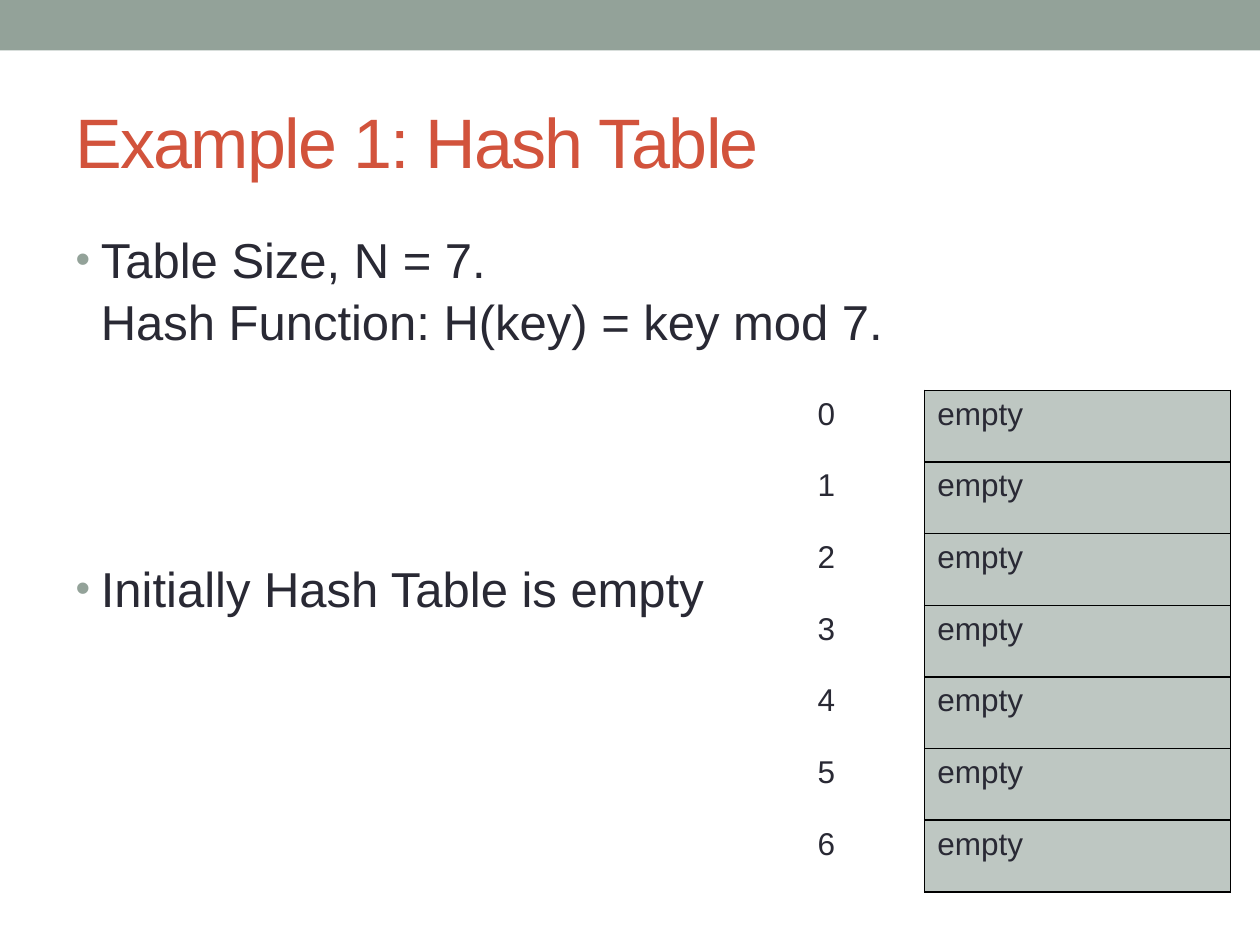
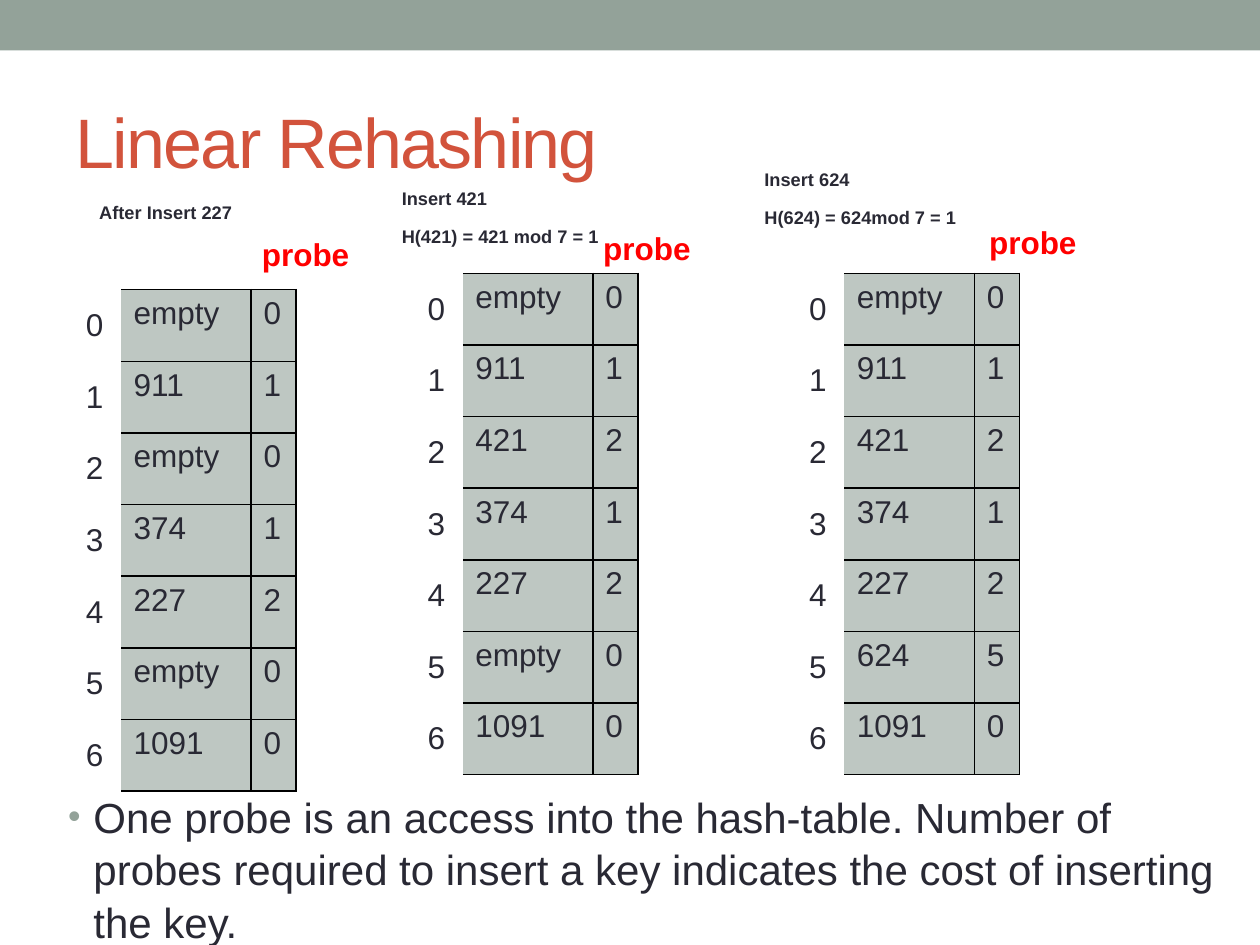
from collections import namedtuple

from lxml.etree import SubElement
from pptx import Presentation
from pptx.dml.color import RGBColor as RGB
from pptx.enum.shapes import MSO_SHAPE as Preset
from pptx.enum.text import MSO_ANCHOR as Anchor, MSO_AUTO_SIZE as AutoSize, PP_ALIGN as Align
from pptx.oxml import parse_xml
from pptx.oxml.ns import nsdecls, qn
from pptx.util import Cm, Pt

COLORS = {
    "band": "93A299",
    "title": "D2533C",
    "ink": "292934",
    "slot": "BEC7C2",
    "border": "000000",
    "probe": "FF0000",
}
FONT = "Arial"
NO_STYLE = "{2D5ABB26-0587-4C30-8999-92F81FD0307C}"
ALL_SIDES = "LRTB"
Box = namedtuple("Box", "left top width height")
TITLE_BOX = Box(1.27, 1.47, 22.86, 2.74)


def rgb(name):
    """Return the palette colour of that name."""
    return RGB.from_string(COLORS[name])


def lengths(box):
    """Convert a box in centimetres to slide lengths."""
    return [Cm(side) for side in box]


def format_runs(frame, size, color, bold=False):
    """Give every run of a text frame the same font."""
    for paragraph in frame.paragraphs:
        for run in paragraph.runs:
            run.font.name = FONT
            run.font.size = Pt(size)
            run.font.bold = bold
            run.font.color.rgb = rgb(color)


def place(shape, box):
    """Move a placeholder into a box."""
    shape.left, shape.top, shape.width, shape.height = lengths(box)


def add_band(deck, slide, box):
    """Draw the top band and hand it over to the slide master."""
    band = slide.shapes.add_shape(Preset.RECTANGLE, *lengths(box))
    band.shadow.inherit = False
    band.fill.solid()
    band.fill.fore_color.rgb = rgb("band")
    band.line.fill.background()
    deck.slide_master.shapes._spTree.insert(2, band._element)


def write_title(slide, text):
    """Fill and format the title placeholder."""
    title = slide.shapes.title
    place(title, TITLE_BOX)
    frame = title.text_frame
    frame.text = text
    frame.auto_size = AutoSize.NONE
    frame.vertical_anchor = Anchor.MIDDLE
    frame.paragraphs[0].alignment = Align.LEFT
    format_runs(frame, 40, "title")
    frame.paragraphs[0].runs[0].font._element.set("spc", "-100")


def write_bullets(slide, box, points, size, gap=0):
    """Fill the body placeholder with bulleted points, a gap apart."""
    body = slide.placeholders[1]
    place(body, box)
    frame = body.text_frame
    frame.text = "\n".join(points)
    frame.auto_size = AutoSize.NONE
    frame.vertical_anchor = Anchor.TOP
    format_runs(frame, size, "ink")
    for index, paragraph in enumerate(frame.paragraphs):
        paragraph.line_spacing = 1.05
        paragraph.space_before = Pt(gap if index else size * 0.2)
        properties = paragraph._p.get_or_add_pPr()
        properties.set("marL", str(Cm(0.51)))
        properties.set("indent", str(-Cm(0.51)))
        color = SubElement(properties, qn("a:buClr"))
        SubElement(color, qn("a:srgbClr"), val=COLORS["band"])
        SubElement(properties, qn("a:buSzPct"), val="85000")
        SubElement(properties, qn("a:buFont"), typeface=FONT)
        SubElement(properties, qn("a:buChar"), char="•")


def set_borders(cell, sides):
    """Draw thin lines on the given sides of a cell."""
    properties = cell._tc.get_or_add_tcPr()
    for index, side in enumerate(sides):
        properties.insert(index, parse_xml(
            f'<a:ln{side} {nsdecls("a")} w="12700"><a:solidFill>'
            f'<a:srgbClr val="{COLORS["border"]}"/></a:solidFill></a:ln{side}>'))


def add_hash_table(slide, box, widths, rows, sides, centred_index=False):
    """Draw a hash table: bare index column, then filled and bordered slots."""
    table = slide.shapes.add_table(len(rows), len(widths), *lengths(box)).table
    table.first_row = table.horz_banding = False
    table._tbl.tblPr.find(qn("a:tableStyleId")).text = NO_STYLE
    for column, width in zip(table.columns, widths):
        column.width = Cm(width)
    for row, values in zip(table.rows, rows):
        row.height = Cm(box.height / len(rows))
        for cell, value, edges in zip(row.cells, values, sides):
            cell.text_frame.text = value
            format_runs(cell.text_frame, 18, "ink")
            if "B" in edges:
                cell.fill.solid()
                cell.fill.fore_color.rgb = rgb("slot")
            else:
                cell.fill.background()
            set_borders(cell, edges)
        if centred_index:
            row.cells[0].vertical_anchor = Anchor.MIDDLE
            row.cells[0].text_frame.paragraphs[0].alignment = Align.CENTER


def add_label(slide, box, text, color, raised=False):
    """Add a bold text box, optionally in superscript."""
    frame = slide.shapes.add_textbox(*lengths(box)).text_frame
    frame.word_wrap = True
    frame.text = text
    format_runs(frame, 18, color, bold=True)
    if raised:
        for paragraph in frame.paragraphs:
            for run in paragraph.runs:
                run.font._element.set("baseline", "30000")


def add_insert_step(slide, box, caption, caption_at, probe_at, slots):
    """Draw one insertion: caption, probe heading and table in its box."""
    caption_box = Box(box.left + caption_at[0], box.top + caption_at[1], 7, 1.27)
    probe_box = Box(box.left + probe_at[0], box.top + probe_at[1], 2.4, 1.02)
    rows = [(str(index), key, str(probes)) for index, (key, probes) in enumerate(slots)]
    add_hash_table(slide, box, (1.07, 2.62, 0.91), rows, ("", "RTB", ALL_SIDES), True)
    add_label(slide, caption_box, caption, "ink", raised=True)
    add_label(slide, probe_box, "probe", "probe")


def build_example(slide):
    """Build the slide with the empty hash table."""
    write_title(slide, "Example 1: Hash Table")
    points = ("Table Size, N = 7.\vHash Function: H(key) = key mod 7.",
              "Initially Hash Table is empty")
    write_bullets(slide, Box(1.27, 4.45, 22.86, 13.54), points, 28, gap=117)
    rows = [(str(index), "", "empty") for index in range(7)]
    add_hash_table(slide, Box(16.23, 7.87, 8.58, 10.11), (1.42, 0.99, 6.17),
                   rows, ("", "R", ALL_SIDES))


def build_rehashing(slide):
    """Build the slide with three successive insertions."""
    write_title(slide, "Linear Rehashing")
    write_bullets(slide, Box(1.12, 15.77, 23.62, 0.86), (
        "One probe is an access into the hash-table. Number of probes required "
        "to insert a key indicates the cost of inserting the key.",), 24)
    after_227 = [("empty", 0), ("911", 1), ("empty", 0), ("374", 1),
                 ("227", 2), ("empty", 0), ("1091", 0)]
    after_421 = after_227[:2] + [("421", 2)] + after_227[3:]
    after_624 = after_421[:5] + [("624", 5)] + after_421[6:]
    steps = (
        (1.37, 5.84, "After Insert 227", (0.38, -1.98), (3.66, -1.22), after_227),
        (8.26, 5.51, "Insert 421\nH(421) = 421 mod 7 = 1",
         (-0.41, -1.93), (3.65, -1.01), after_421),
        (15.95, 5.51, "Insert 624\nH(624) = 624mod 7 = 1",
         (-0.79, -2.31), (3.74, -1.14), after_624),
    )
    for left, top, *step in steps:
        add_insert_step(slide, Box(left, top, 4.6, 10.11), *step)


def main():
    """Build and save the deck."""
    deck = Presentation()
    deck.slide_width, deck.slide_height = Cm(25.4), Cm(19.05)
    layout = deck.slide_layouts[1]
    example, rehashing = (deck.slides.add_slide(layout) for _ in range(2))
    add_band(deck, example, Box(0, 0, 25.4, 1.02))
    build_example(example)
    build_rehashing(rehashing)
    deck.save("out.pptx")


main()
